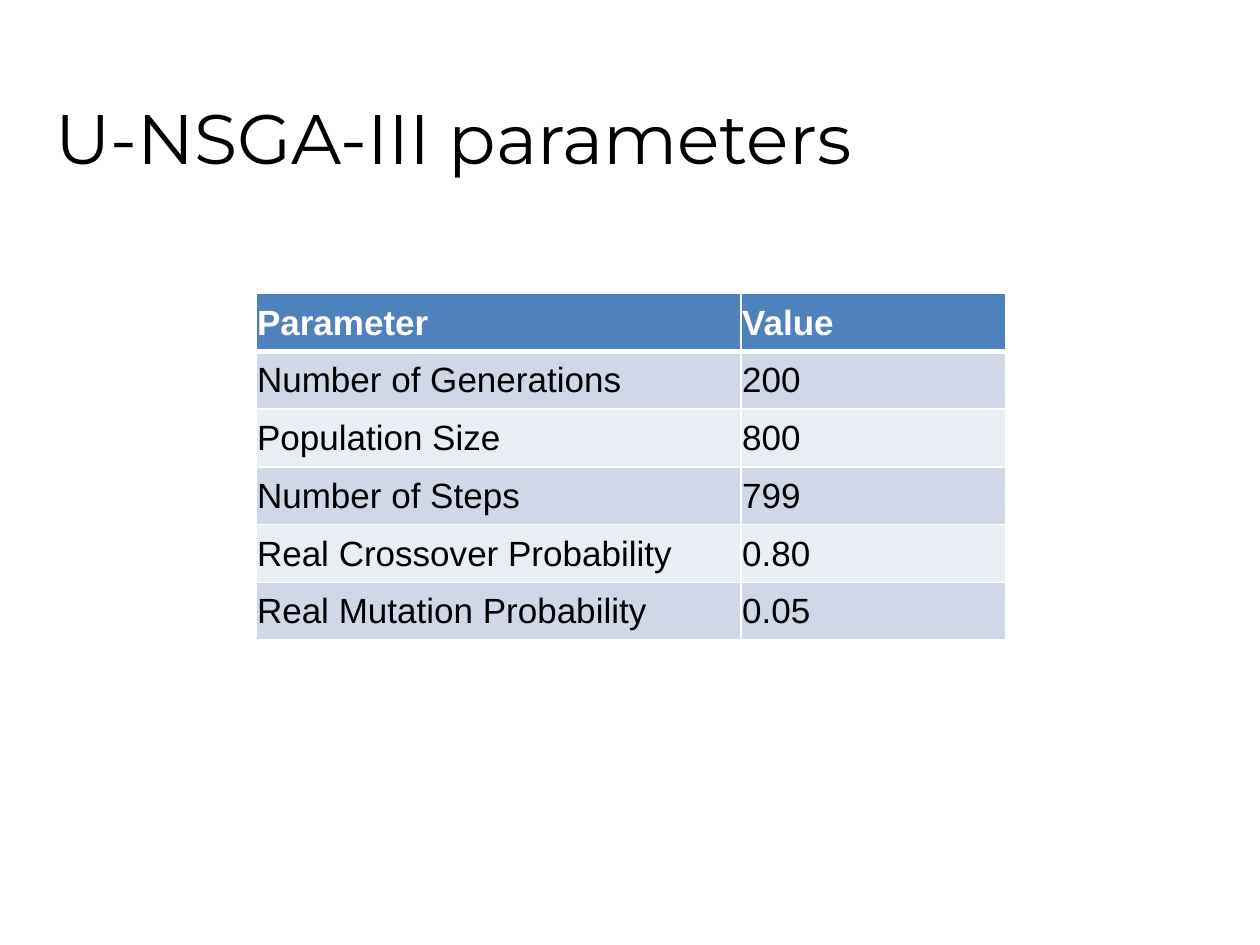
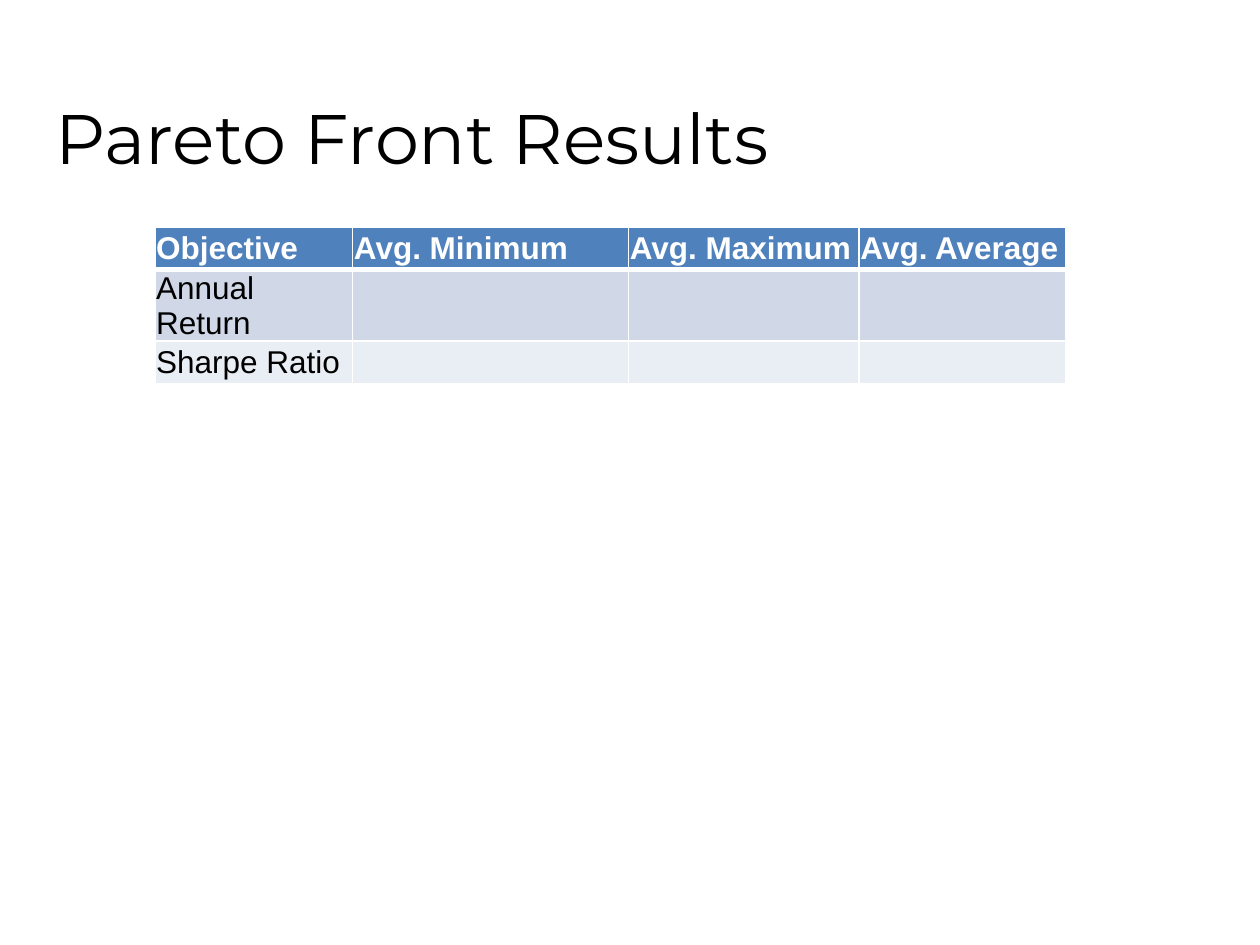
from lxml import etree
from pptx import Presentation
from pptx.dml.color import RGBColor
from pptx.enum.text import MSO_ANCHOR, MSO_AUTO_SIZE, PP_ALIGN
from pptx.oxml.ns import qn
from pptx.util import Inches, Pt

LEFT = PP_ALIGN.LEFT
TOP, MIDDLE = MSO_ANCHOR.TOP, MSO_ANCHOR.MIDDLE
NO_FIT = MSO_AUTO_SIZE.NONE
TITLE_ONLY = 5

BLACK, WHITE = "000000", "FFFFFF"
HEADER_FILL = "4F81BD"
BAND_FILLS = ("D0D8E8", "E9EDF4")
TITLE_FONT, BODY_FONT = "Montserrat", "Arial"

PARAMETERS = [
    ("Parameter", "Value"),
    ("Number of Generations", "200"),
    ("Population Size", "800"),
    ("Number of Steps", "799"),
    ("Real Crossover Probability", "0.80"),
    ("Real Mutation Probability", "0.05"),
]
OBJECTIVES = [
    ("Objective", "Avg. Minimum", "Avg. Maximum", "Avg. Average"),
    ("Annual Return", "", "", ""),
    ("Sharpe Ratio", "", "", ""),
]


def color(value):
    return RGBColor.from_string(value)


class DeckBuilder:
    """Holds the deck, its shared style and the current slide."""

    def __init__(self):
        self.deck = Presentation()
        self.deck.slide_width = Inches(10)
        self.deck.slide_height = Inches(7.5)
        self.page = None

    def add_page(self, title):
        self.page = self.deck.slides.add_slide(self.deck.slide_layouts[TITLE_ONLY])
        self.page.background.fill.solid()
        self.page.background.fill.fore_color.rgb = color(WHITE)
        box = self.page.shapes.title
        box.left, box.top = Inches(0.34), Inches(0.65)
        box.width, box.height = Inches(9.32), Inches(0.84)
        frame = box.text_frame
        frame.word_wrap = True
        frame.auto_size = NO_FIT
        frame.vertical_anchor = TOP
        frame.margin_left = frame.margin_right = Inches(0.1)
        frame.margin_top = frame.margin_bottom = Inches(0.1)
        self.add_text(frame.paragraphs[0], title, TITLE_FONT, 40, BLACK)

    def add_text(self, para, text, font, size, ink, bold=False):
        para.alignment = LEFT
        span = para.add_run()
        span.text = text
        span.font.name = font
        span.font.size = Pt(size)
        span.font.bold = bold
        span.font.color.rgb = color(ink)

    def add_border(self, cell, side, width):
        properties = cell._tc.get_or_add_tcPr()
        line = etree.SubElement(properties, qn(f"a:ln{side}"), w=str(Pt(width)))
        fill = etree.SubElement(line, qn("a:solidFill"))
        etree.SubElement(fill, qn("a:srgbClr"), val=WHITE)

    def style_cell(self, cell, text, row, size):
        header = row == 0
        cell.vertical_anchor = MIDDLE
        cell.margin_left = cell.margin_right = cell.margin_top = Inches(0.01)
        cell.margin_bottom = 0
        widths = {"L": 1, "R": 1, "T": 3 if row == 1 else 1, "B": 3 if header else 1}
        for side, width in widths.items():
            self.add_border(cell, side, width)
        cell.fill.solid()
        fill = HEADER_FILL if header else BAND_FILLS[(row - 1) % 2]
        cell.fill.fore_color.rgb = color(fill)
        para = cell.text_frame.paragraphs[0]
        if text:
            ink = WHITE if header else BLACK
            self.add_text(para, text, BODY_FONT, size, ink, header)
        else:
            para.font.size = Pt(size)

    def add_table(self, left, top, widths, height, rows, size):
        table = self.page.shapes.add_table(
            len(rows), len(widths), Inches(left), Inches(top),
            Inches(sum(widths)), Inches(height)).table
        for column, width in zip(table.columns, widths):
            column.width = Inches(width)
        for row, texts in enumerate(rows):
            for column, text in enumerate(texts):
                self.style_cell(table.cell(row, column), text, row, size)


def main():
    builder = DeckBuilder()
    builder.add_page("U-NSGA-III parameters")
    builder.add_table(2.03, 2.33, (3.85, 2.1), 2.75, PARAMETERS, 20)
    builder.add_page("Pareto Front Results")
    builder.add_table(1.23, 1.8, (1.57, 2.19, 1.83, 1.64), 1.01, OBJECTIVES, 18)
    builder.deck.save("out.pptx")


if __name__ == "__main__":
    main()
